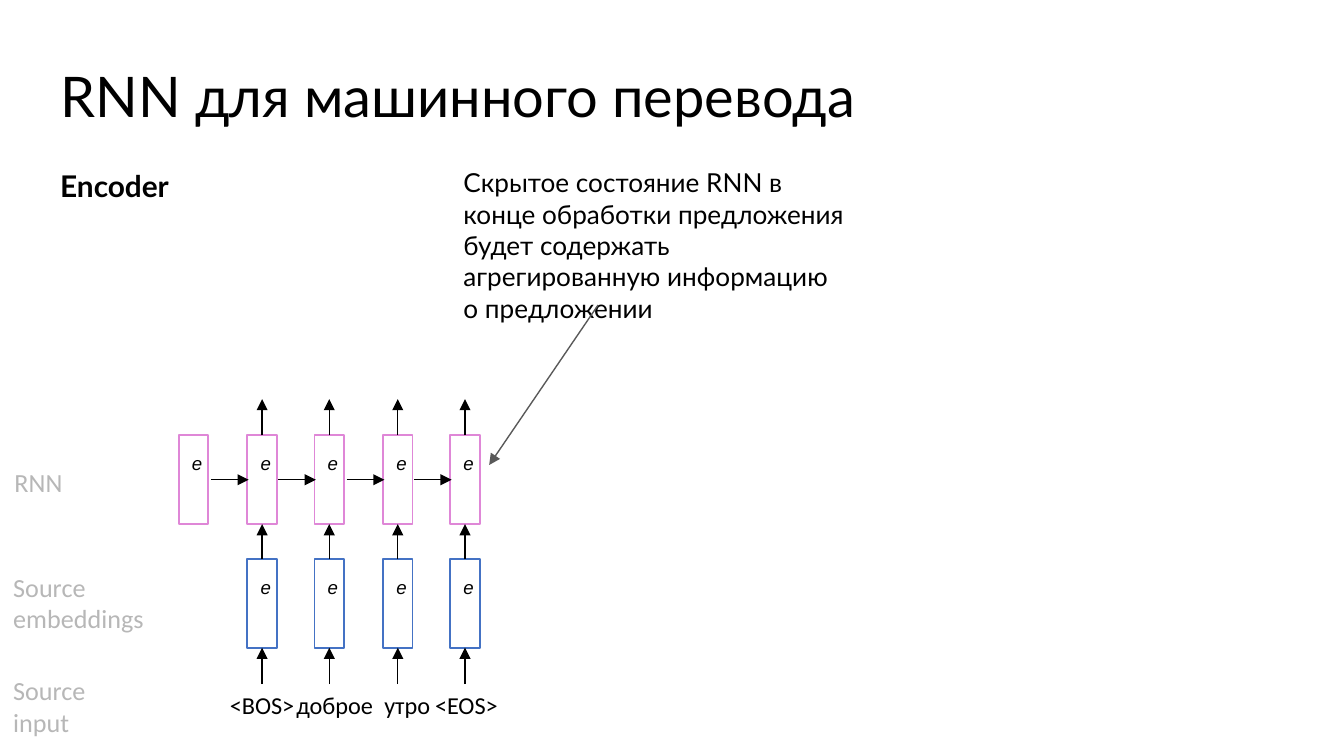
"""Draw the encoder half of an RNN translator on one slide."""
from dataclasses import dataclass

import pptx
import pptx.dml.color
import pptx.enum.shapes
import pptx.enum.text
import pptx.oxml
import pptx.oxml.ns
import pptx.slide
import pptx.util

Color = pptx.dml.color.RGBColor
Align = pptx.enum.text.PP_ALIGN

BLACK = Color(0x00, 0x00, 0x00)
GRAY = Color(0xB7, 0xB7, 0xB7)
DARK = Color(0x59, 0x59, 0x59)
BLUE = Color(0x44, 0x72, 0xC4)
PINK = Color(0xDF, 0x87, 0xD7)

SCALE = 9144
WIDE, TALL = 22, 66
STATE, EMBED = 324, 416

TITLE = {"name": "Lato", "size": pptx.util.Pt(30)}
HEAD = {"name": "Lato", "size": pptx.util.Pt(16), "bold": True}
NOTE = {"name": "Lato", "size": pptx.util.Pt(14)}
SIDE = {"name": "Calibri", "size": pptx.util.Pt(14)}
WORD = {"name": "Calibri", "size": pptx.util.Pt(13)}
CELL = {"name": "Arial", "size": pptx.util.Pt(10), "italic": True}


@dataclass(frozen=True)
class Label:
    """A text with its box, its font and its look."""

    text: str
    left: int
    top: int
    width: int
    height: int
    font: dict
    color: Color = BLACK
    pad: int = 10
    align: Align = Align.LEFT


@dataclass(frozen=True)
class Arrow:
    """A line with a head at its end."""

    left: int
    top: int
    right: int
    low: int
    color: Color = BLACK


@dataclass(frozen=True)
class Token:
    """An input word and the centre of its label."""

    text: str
    mid: int


LABELS = [
    Label("RNN для машинного перевода", 35, 36, 932, 63, TITLE),
    Label("Encoder", 35, 115, 290, 47, HEAD),
    Label(
        "Скрытое состояние RNN в конце обработки предложения "
        "будет содержать агрегированную информацию о предложении",
        335, 114, 304, 114, NOTE,
    ),
    Label("RNN", 1, 342, 104, 34, SIDE, GRAY, 5),
    Label("Source\nembeddings", 0, 420, 118, 57, SIDE, GRAY, 5),
    Label("Source input", 0, 497, 76, 57, SIDE, GRAY, 5),
]
TOKENS = [
    Token("<BOS>", 195),
    Token("доброе", 249),
    Token("утро", 303),
    Token("<EOS>", 347),
]


def px(size: int) -> int:
    """Turn px into EMU."""
    return pptx.util.Emu(size * SCALE)


def col(order: int) -> int:
    """Find the left edge of a column of cells."""
    return 133 + (101 * order + 1) // 2


def write(slide: pptx.slide.Slide, label: Label) -> None:
    """Draw a label."""
    box = slide.shapes.add_textbox(
        px(label.left), px(label.top), px(label.width), px(label.height)
    )
    frame = box.text_frame
    look = {
        "word_wrap": True,
        "margin_left": px(10),
        "margin_right": px(10),
        "margin_top": px(label.pad),
        "margin_bottom": px(label.pad),
        "text": label.text,
    }
    for key, value in look.items():
        setattr(frame, key, value)
    for para in frame.paragraphs:
        para.alignment = label.align
        for run in para.runs:
            for key, value in label.font.items():
                setattr(run.font, key, value)
            run.font.color.rgb = label.color


def point(slide: pptx.slide.Slide, arrow: Arrow) -> None:
    """Draw an arrow."""
    line = slide.shapes.add_connector(
        pptx.enum.shapes.MSO_CONNECTOR.STRAIGHT,
        px(arrow.left), px(arrow.top), px(arrow.right), px(arrow.low),
    )
    line.line.color.rgb = arrow.color
    line.line.width = pptx.util.Pt(0.75)
    tail = pptx.oxml.parse_xml(
        f'<a:tailEnd {pptx.oxml.ns.nsdecls("a")} type="triangle"/>'
    )
    line.line._get_or_add_ln().append(tail)
    flat = pptx.oxml.parse_xml(f'<a:effectLst {pptx.oxml.ns.nsdecls("a")}/>')
    line._element.spPr.append(flat)


def cell(slide: pptx.slide.Slide, left: int, top: int, color: Color) -> None:
    """Draw a vector cell and its letter."""
    box = slide.shapes.add_shape(
        pptx.enum.shapes.MSO_SHAPE.RECTANGLE,
        px(left), px(top), px(WIDE), px(TALL),
    )
    box.shadow.inherit = False
    box.fill.background()
    box.line.color.rgb = color
    box.line.width = pptx.util.Pt(1)
    write(slide, Label("e", left, top + 4, 28, 37, CELL))


def main() -> None:
    """Build and save the slide."""
    deck = pptx.Presentation()
    deck.slide_width = px(1000)
    deck.slide_height = deck.slide_width * 9 // 16
    slide = deck.slides.add_slide(deck.slide_layouts[6])

    for label in LABELS:
        write(slide, label)

    cell(slide, col(0), STATE, PINK)
    for order, token in enumerate(TOKENS, 1):
        left = col(order)
        mid = left + WIDE // 2
        cell(slide, left, EMBED, BLUE)
        cell(slide, left, STATE, PINK)
        point(slide, Arrow(mid, 509, mid, EMBED + TALL))
        point(slide, Arrow(mid, EMBED, mid, STATE + TALL))
        point(slide, Arrow(mid, STATE, mid, 297))
        point(slide, Arrow(left - 27, 357, left + 1, 357))
        write(slide, Label(token.text, token.mid - 40, 509, 80, 32,
                           WORD, pad=5, align=Align.CENTER))

    point(slide, Arrow(445, 227, 364, 346, DARK))
    deck.save("out.pptx")


if __name__ == "__main__":
    main()
